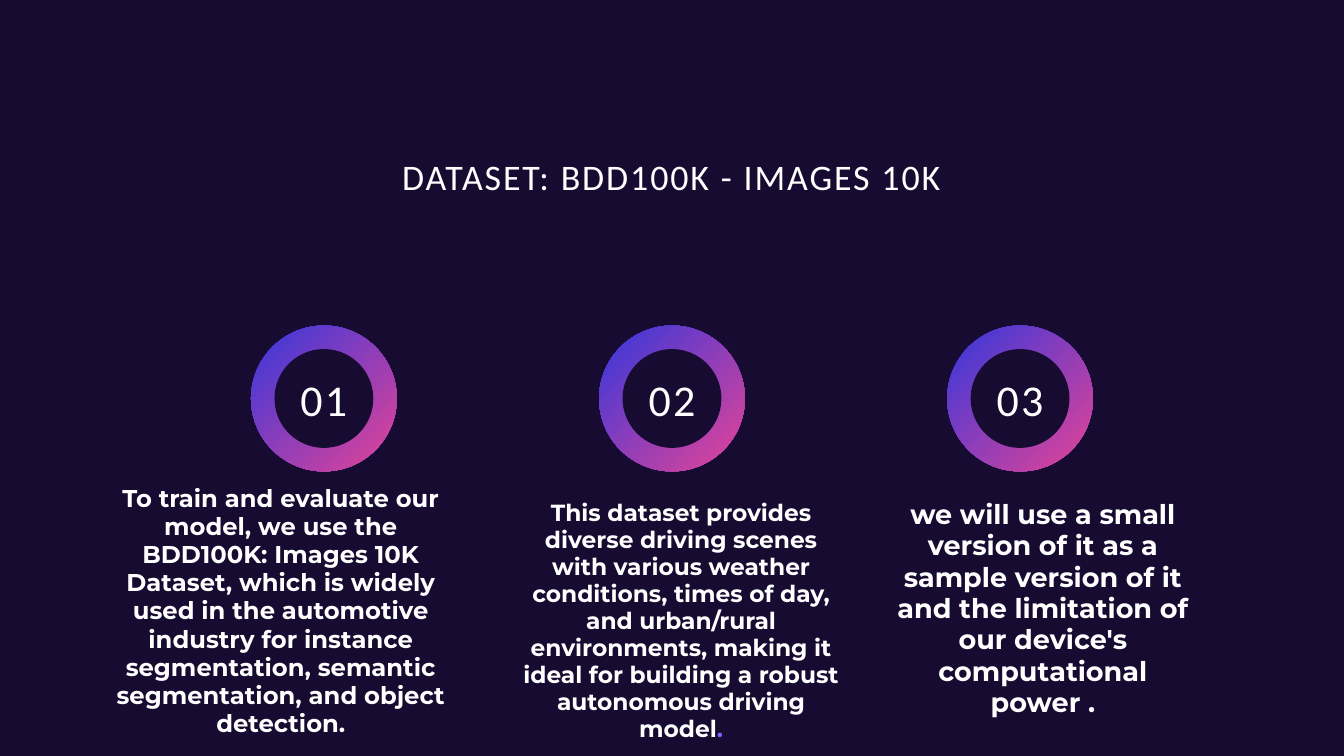
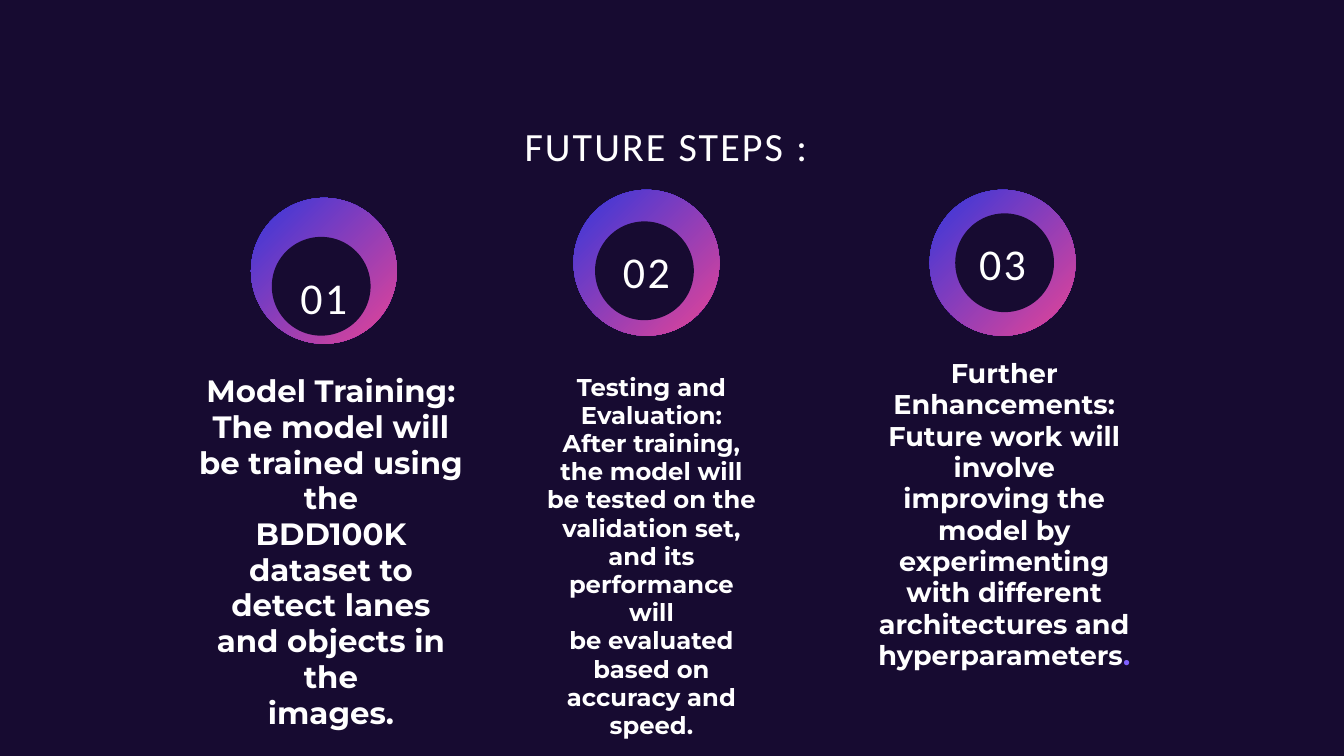
from pptx import Presentation
from pptx.dml.color import RGBColor
from pptx.enum.shapes import MSO_SHAPE
from pptx.enum.text import MSO_AUTO_SIZE, PP_ALIGN
from pptx.util import Inches, Pt

OVAL = MSO_SHAPE.OVAL
CENTER = PP_ALIGN.CENTER
GROW = MSO_AUTO_SIZE.SHAPE_TO_FIT_TEXT

COLORS = {
    "background": "170B31",
    "text": "FFFFFF",
    "accent": "8061FF",
    "ring_start": "3437DC",
    "ring_end": "E64496",
}
DISPLAY_FONT, BODY_FONT = "Calibri", "Montserrat"
RING_SIZE, HOLE_SIZE = 2.17, 1.47
NUMBER_WIDTH, NUMBER_HEIGHT = 1.4, 0.81
ACCENT_STOP = (".", "accent")

# Each column: ring centre, hole centre, number centre height,
# body box, body size and body paragraphs (lists of text and colour).
DATASET_COLUMNS = [
    ((4.82, 5.93), (4.82, 5.93), 5.92, (1.63, 7.2, 5.1, 3.75), 26, [
        [("To train and evaluate our model, we use the BDD100K: Images 10K "
          "Dataset, which is widely used in the automotive industry for "
          "instance segmentation, semantic segmentation, and object "
          "detection.", "text")]]),
    ((10, 5.93), (10, 5.93), 5.92, (7.67, 7.42, 4.93, 3.16), 25, [
        [("This dataset provides diverse driving scenes with various weather "
          "conditions, times of day, and urban/rural environments, making it "
          "ideal for building a robust autonomous driving model", "text"),
         ACCENT_STOP]]),
    ((15.18, 5.93), (15.18, 5.93), 5.92, (13.35, 7.42, 4.34, 3.2), 29, [
        [("we will use a small version of it as a sample version of it and "
          "the limitation of our device's computational power .", "text")]]),
]
FUTURE_COLUMNS = [
    ((4.82, 4.03), (4.78, 4.26), 4.4, (2.94, 5.55, 3.97, 4.79), 33, [
        [("Model Training: The model will be trained using the", "text")],
        [("BDD100K dataset to detect lanes and objects in the", "text")],
        [("images.", "text")]]),
    ((9.62, 3.91), (9.59, 4.03), 4.02, (8.12, 5.55, 3.15, 5), 26, [
        [("Testing and Evaluation: After training, the model will", "text")],
        [("be tested on the validation set, and its performance will", "text")],
        [("be evaluated based on accuracy and speed.", "text")]]),
    ((14.92, 3.91), (14.95, 3.91), 3.9, (13.07, 5.32, 3.75, 4.58), 29, [
        [("Further Enhancements: Future work will involve", "text")],
        [("improving the model by experimenting with different", "text")],
        [("architectures and hyperparameters", "text"), ACCENT_STOP]]),
]


def rgb(name):
    return RGBColor.from_string(COLORS[name])


class Deck:
    def __init__(self):
        self.presentation = Presentation()
        self.presentation.slide_width = Inches(20)
        self.presentation.slide_height = Inches(11.25)
        self.slide = None

    def new_slide(self):
        self.slide = self.presentation.slides.add_slide(
            self.presentation.slide_layouts[6])
        background = self.slide.background.fill
        background.solid()
        background.fore_color.rgb = rgb("background")

    def circle(self, center, size):
        """Add an unfilled, unlined circle around a centre point."""
        x, y = center
        shape = self.slide.shapes.add_shape(
            OVAL, Inches(x - size / 2), Inches(y - size / 2),
            Inches(size), Inches(size))
        shape.shadow.inherit = False
        shape.line.fill.background()
        return shape

    def ring(self, center):
        fill = self.circle(center, RING_SIZE).fill
        fill.gradient()
        fill.gradient_angle = 315
        for stop, name in zip(fill.gradient_stops, ("ring_start", "ring_end")):
            stop.color.rgb = rgb(name)

    def hole(self, center):
        fill = self.circle(center, HOLE_SIZE).fill
        fill.solid()
        fill.fore_color.rgb = rgb("background")

    def text(self, box, paragraphs, font, size, leading, bold=False, tracking=0):
        """Add centred text; leading and tracking are in points."""
        text_box = self.slide.shapes.add_textbox(*map(Inches, box))
        frame = text_box.text_frame
        frame.word_wrap = True
        frame.auto_size = GROW
        frame.margin_left = frame.margin_right = 0
        frame.margin_top = frame.margin_bottom = 0
        for index, runs in enumerate(paragraphs):
            paragraph = frame.add_paragraph() if index else frame.paragraphs[0]
            paragraph.alignment = CENTER
            paragraph.line_spacing = Pt(leading)
            for words, color in runs:
                run = paragraph.add_run()
                run.text = words
                run.font.name = font
                run.font.size = Pt(size)
                run.font.bold = bold
                run.font.color.rgb = rgb(color)
                if tracking:
                    run._r.get_or_add_rPr().set("spc", str(round(tracking * 100)))

    def title(self, words, box, size, tracking):
        self.text(box, [[(words, "text")]], DISPLAY_FONT, size,
                  round(size * 1.257, 1), tracking=tracking)

    def number(self, value, center):
        x, y = center
        box = (x - NUMBER_WIDTH / 2, y - NUMBER_HEIGHT / 2,
               NUMBER_WIDTH, NUMBER_HEIGHT)
        self.text(box, [[(f"{value:02d}", "text")]], DISPLAY_FONT, 47.1, 58.5,
                  tracking=2.5)

    def body(self, box, size, paragraphs):
        self.text(box, paragraphs, BODY_FONT, size, round(size * 1.16, 1),
                  bold=True)

    def columns(self, columns):
        for value, column in enumerate(columns, start=1):
            ring, hole, number_y, box, size, paragraphs = column
            self.ring(ring)
            self.hole(hole)
            self.number(value, (ring[0], number_y))
            self.body(box, size, paragraphs)


def main():
    deck = Deck()

    deck.new_slide()
    deck.columns(DATASET_COLUMNS)
    deck.title("DATASET: BDD100K - IMAGES 10K", (3.24, 2.27, 13.51, 0.67), 38.5, 2)

    deck.new_slide()
    deck.columns(FUTURE_COLUMNS)
    deck.title("FUTURE STEPS : ", (2.47, 1.78, 15.05, 0.74), 42.9, 2.3)

    deck.presentation.save("out.pptx")


if __name__ == "__main__":
    main()
